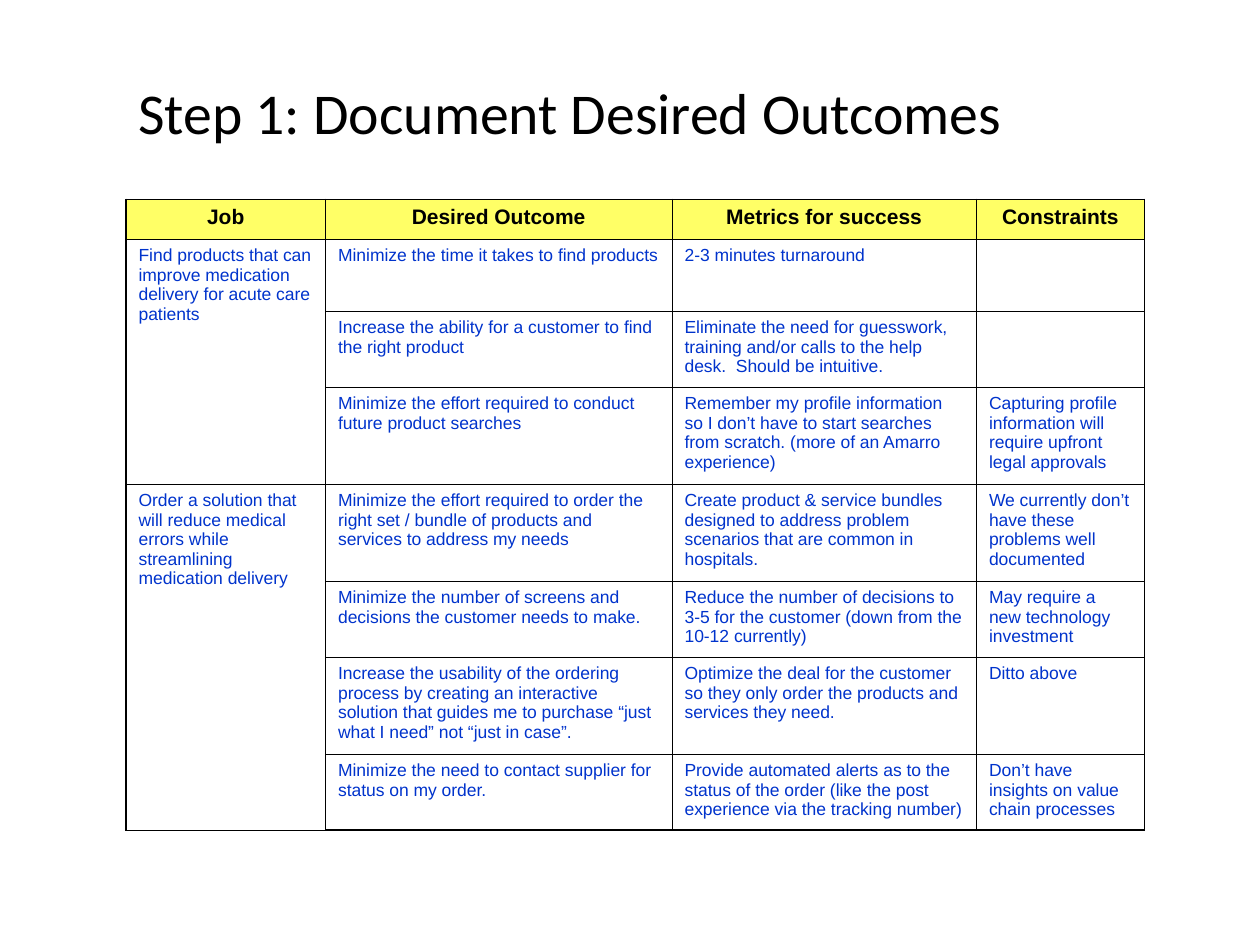
from dataclasses import dataclass

from lxml.etree import SubElement as Sub
from pptx import Presentation
from pptx.dml.color import RGBColor as Rgb
from pptx.enum.text import MSO_ANCHOR as Anchor, PP_ALIGN as Align
from pptx.oxml.ns import qn
from pptx.util import Inches, Pt

COLS, ROWS = 120, 90  # grid of the slide
WIDE, HIGH = Inches(10), Inches(7.5)
INK = "000000"
THIN, THICK = 0.45, 1.08

HEADS = ["Job", "Desired Outcome", "Metrics for success", "Constraints"]
SPANS = [19, 33, 29, 16]
HEAD_H = 3.8


@dataclass
class Goal:
    high: float
    aim: str
    metric: str
    limit: str = ""


@dataclass
class Job:
    name: str
    goals: list[Goal]


JOBS = [
    Job("Find products that can improve medication delivery for acute care patients", [
        Goal(6.9, "Minimize the time it takes to find products",
             "2-3 minutes turnaround"),
        Goal(7.2, "Increase the ability for a customer to find the right product",
             "Eliminate the need for guesswork, training and/or calls to the help desk.  "
             "Should be intuitive."),
        Goal(9.25, "Minimize the effort required to conduct future product searches",
             "Remember my profile information so I don’t have to start searches "
             "from scratch. (more of an Amarro experience)",
             "Capturing profile information will require upfront legal approvals"),
    ]),
    Job("Order a solution that will reduce medical errors while streamlining "
        "medication delivery", [
            Goal(9.25, "Minimize the effort required to order the right set / bundle of "
                 "products and services to address my needs",
                 "Create product & service bundles designed to address problem scenarios "
                 "that are common in hospitals.",
                 "We currently don’t have these problems well documented"),
            Goal(7.2, "Minimize the number of screens and decisions the customer needs "
                 "to make.",
                 "Reduce the number of decisions to 3-5 for the customer "
                 "(down from the 10-12 currently)",
                 "May require a new technology investment"),
            Goal(9.25, "Increase the usability of the ordering process by creating an "
                 "interactive solution that guides me to purchase “just what I need” "
                 "not “just in case”.",
                 "Optimize the deal for the customer so they only order the products "
                 "and services they need.",
                 "Ditto above"),
            Goal(7.2, "Minimize the need to contact supplier for status on my order.",
                 "Provide automated alerts as to the status of the order "
                 "(like the post experience via the tracking number)",
                 "Don’t have insights on value chain processes"),
        ]),
]


def across(n: float) -> int:
    return round(WIDE * n / COLS)


def down(n: float) -> int:
    return round(HIGH * n / ROWS)


def color(code: str) -> Rgb:
    return Rgb.from_string(code)


def write(frame, text: str, size: float, face: str, tint: str, bold=False) -> None:
    frame.text = text
    for run in frame.paragraphs[0].runs:
        font = run.font
        font.size, font.name, font.bold = Pt(size), face, bold
        font.color.rgb = color(tint)


def edge(cell, widths: dict[str, float]) -> None:
    """Draw cell borders; must run before the cell's fill is set."""
    props = cell._tc.get_or_add_tcPr()
    for side, width in widths.items():
        line = Sub(props, qn(f"a:ln{side}"), w=str(Pt(width)))
        fill = Sub(line, qn("a:solidFill"))
        Sub(fill, qn("a:srgbClr"), val=INK)


def add_title(slide) -> None:
    box = slide.shapes.add_textbox(across(12), down(7), across(100), down(8))
    frame = box.text_frame
    frame.word_wrap = True
    frame.vertical_anchor = Anchor.MIDDLE
    write(frame, "Step 1: Document Desired Outcomes", 33, "Calibri", INK)
    frame.paragraphs[0].line_spacing = 0.9


def add_grid(slide) -> None:
    goals = [goal for job in JOBS for goal in job.goals]
    highs = [HEAD_H] + [goal.high for goal in goals]
    table = slide.shapes.add_table(
        len(highs), len(SPANS), across(12), down(19),
        across(sum(SPANS)), down(sum(highs))).table
    table.first_row = table.horz_banding = False
    for col, span in zip(table.columns, SPANS):
        col.width = across(span)
    for row, high in zip(table.rows, highs):
        row.height = down(high)

    last_r, last_c = len(highs) - 1, len(SPANS) - 1
    for r in range(last_r + 1):
        for c in range(last_c + 1):
            cell = table.cell(r, c)
            edge(cell, {"L": THIN if c else THICK,
                        "R": THICK if c == last_c else THIN,
                        "T": THIN if r else THICK,
                        "B": THICK if r == last_r else THIN})
            if r:
                cell.fill.background()
            else:
                cell.fill.solid()
                cell.fill.fore_color.rgb = color("FFFF66")

    for c, head in enumerate(HEADS):
        frame = table.cell(0, c).text_frame
        write(frame, head, 12, "Arial", INK, True)
        frame.paragraphs[0].alignment = Align.CENTER

    def put(r: int, c: int, text: str) -> None:
        if text:
            write(table.cell(r, c).text_frame, text, 10, "Arial", "0033CC")

    top = 1
    for job in JOBS:
        end = top + len(job.goals)
        table.cell(top, 0).merge(table.cell(end - 1, 0))
        put(top, 0, job.name)
        for r, goal in enumerate(job.goals, top):
            for c, text in enumerate((goal.aim, goal.metric, goal.limit), 1):
                put(r, c, text)
        top = end


def main() -> None:
    deck = Presentation()
    deck.slide_width, deck.slide_height = WIDE, HIGH
    slide = deck.slides.add_slide(deck.slide_layouts[6])
    add_title(slide)
    add_grid(slide)
    deck.save("out.pptx")


if __name__ == "__main__":
    main()
